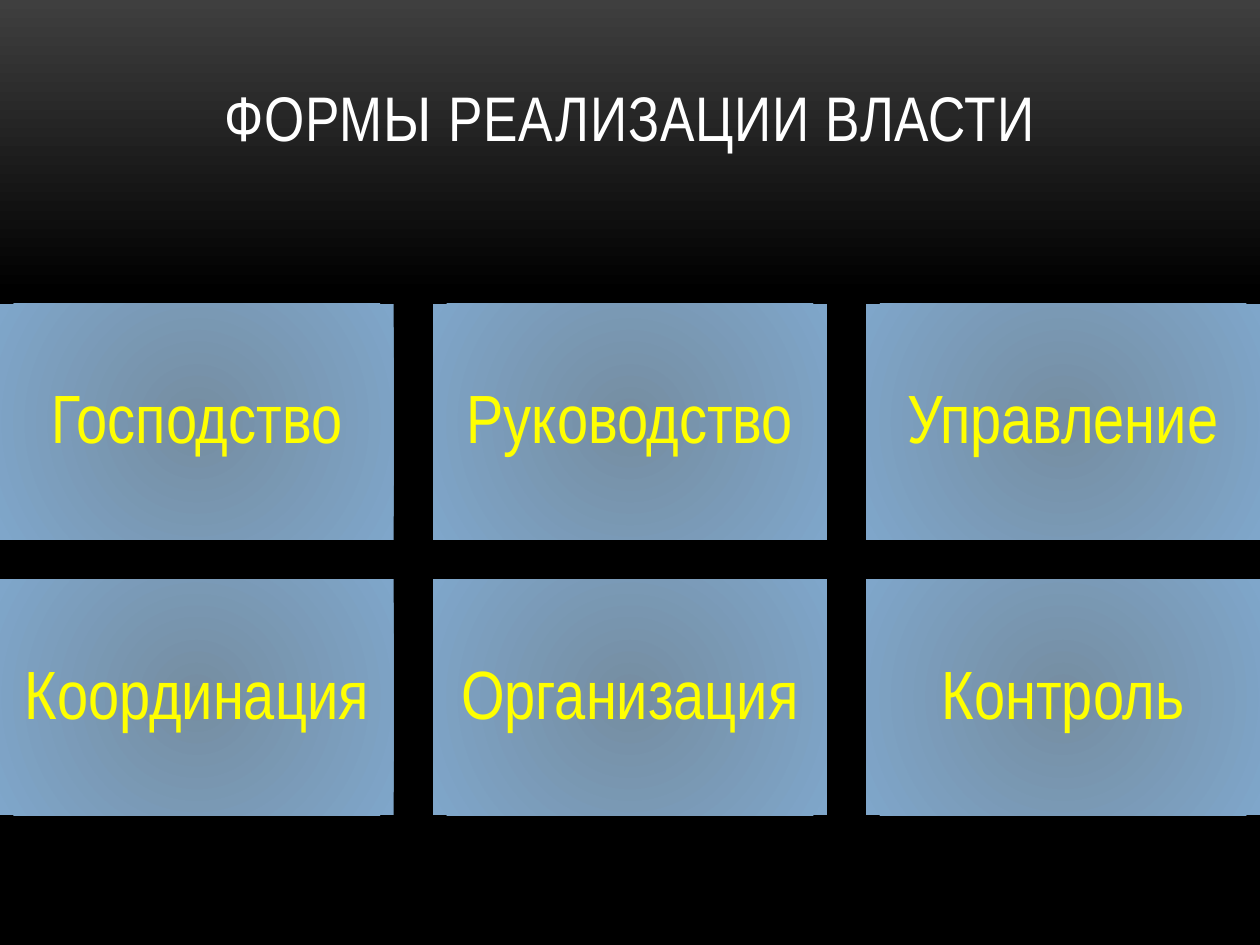
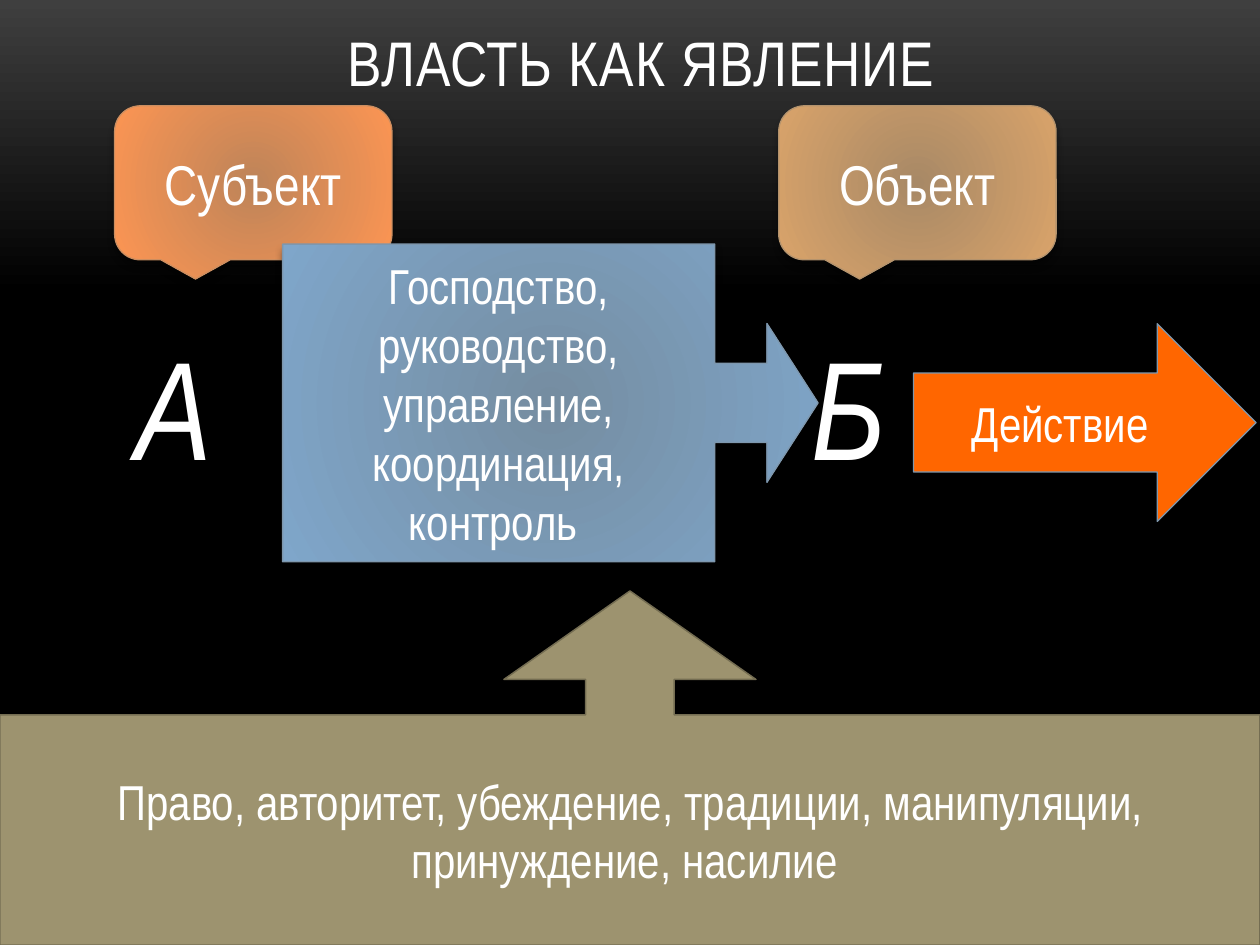
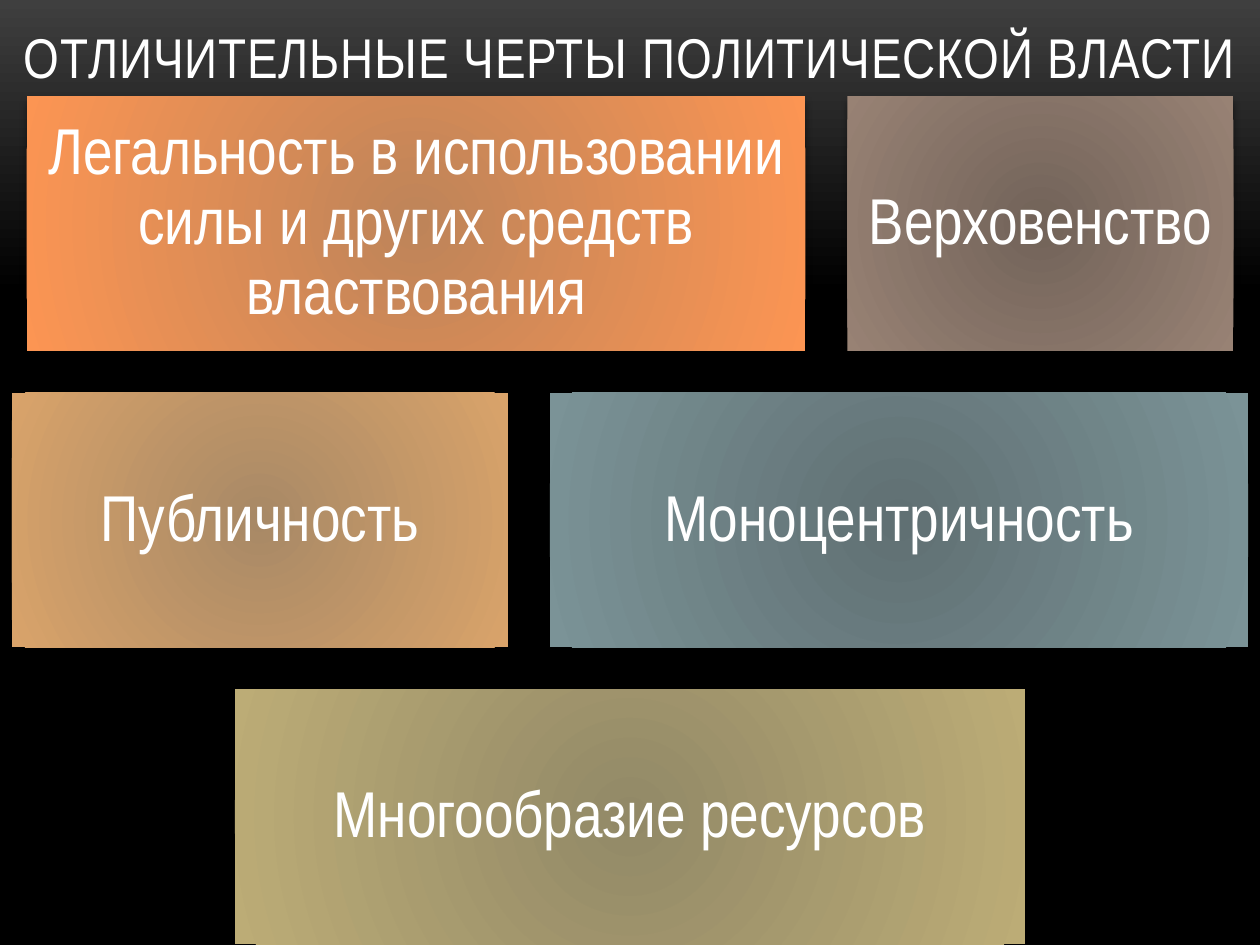
from dataclasses import dataclass

from lxml import etree
from pptx import Presentation
from pptx import util as u
from pptx.dml.color import RGBColor
from pptx.enum import shapes, text
from pptx.oxml.ns import qn

Pt = u.Pt
Kind = shapes.MSO_SHAPE
Anchor = text.MSO_ANCHOR
Align = text.PP_ALIGN


@dataclass(frozen=True)
class Theme:
    font: str = "Arial Narrow"
    # Colours
    white: str = "FFFFFF"
    yellow: str = "FFFF00"
    olive: str = "9D936F"
    olive_line: str = "746D52"
    vivid_orange: str = "FF6600"
    blue_line: str = "7E97AD"
    orange_line: str = "CC8E60"
    sand_line: str = "B4936D"
    # Gradients: centre and edge
    blue: tuple = ("758DA1", "7FA6CA")
    orange: tuple = ("BE8459", "FC9553")
    sand: tuple = ("A88966", "D9A36A")
    brown: tuple = ("726359", "988274")
    teal: tuple = ("607073", "7B9397")
    khaki: tuple = ("928967", "BCAC76")
    background: tuple = ((0, "3F3F3F"), (31, "000000"), (100, "000000"))
    # Type sizes
    title: int = 36
    long_title: int = 32
    form: int = 39
    feature: int = 37
    callout: int = 32
    body: int = 28
    letter: int = 80


def add_element(parent, tag, **attributes):
    element = etree.SubElement(parent, qn(tag))
    for name, value in attributes.items():
        element.set(name, str(value))
    return element


def set_gradient(fill, owner, stops, radial):
    """Give a fill its stops, spread from the centre or from the top down."""
    fill.gradient()
    gradient = owner.find(".//" + qn("a:gradFill"))
    for child in list(gradient):
        gradient.remove(child)
    stop_list = add_element(gradient, "a:gsLst")
    for position, color in stops:
        stop = add_element(stop_list, "a:gs", pos=position * 1000)
        add_element(stop, "a:srgbClr", val=color)
    if radial:
        spread = add_element(gradient, "a:path")
        spread.set("path", "circle")
        add_element(spread, "a:fillToRect", l=100000, t=100000, r=100000, b=100000)
    else:
        add_element(gradient, "a:lin", ang=5400000, scaled=0)


class Deck:
    def __init__(self, theme):
        self.theme = theme
        self.presentation = Presentation()
        self.presentation.slide_width = Pt(720)
        self.presentation.slide_height = Pt(540)
        master = self.presentation.slide_master
        set_gradient(master.background.fill, master._element, theme.background, radial=False)
        self.slide = None

    def new_slide(self):
        self.slide = self.presentation.slides.add_slide(self.presentation.slide_layouts[6])

    def set_text(self, shape, lines, size, color=None, anchor=Anchor.MIDDLE,
                 align=Align.CENTER, inset=None, spacing=None, italic=None, tracking=None):
        frame = shape.text_frame
        frame.word_wrap = True
        frame.vertical_anchor = anchor
        if inset is not None:
            frame.margin_left = frame.margin_right = Pt(inset)
            frame.margin_top = frame.margin_bottom = Pt(inset)
        frame.text = lines
        for paragraph in frame.paragraphs:
            paragraph.alignment = align
            paragraph.line_spacing = spacing
            font = paragraph.font
            font.name, font.size, font.italic = self.theme.font, Pt(size), italic
            font.color.rgb = RGBColor.from_string(color or self.theme.white)
            if tracking:
                paragraph._p.pPr.find(qn("a:defRPr")).set("spc", str(tracking))

    def text_box(self, box, lines, size, **style):
        shape = self.slide.shapes.add_textbox(*map(Pt, box))
        self.set_text(shape, lines, size, **style)

    def title(self, box, words, size=None, anchor=Anchor.BOTTOM):
        self.text_box(box, words, size or self.theme.title, anchor=anchor, tracking=50)

    def letter(self, left, character):
        self.text_box((left, 179.5, 100, 104.5), character, self.theme.letter,
                      anchor=Anchor.TOP, align=Align.LEFT, italic=True)

    def shape(self, kind, box, fill, lines, size, line=None, line_width=0.75,
              adjustments=(), shadow=True, **style):
        shape = self.slide.shapes.add_shape(kind, *map(Pt, box))
        for index, value in enumerate(adjustments):
            shape.adjustments[index] = value
        if isinstance(fill, tuple):
            set_gradient(shape.fill, shape._element.spPr, zip((0, 100), fill), radial=True)
        else:
            shape.fill.solid()
            shape.fill.fore_color.rgb = RGBColor.from_string(fill)
        if line:
            shape.line.color.rgb = RGBColor.from_string(line)
            shape.line.width = Pt(line_width)
        else:
            shape.line.fill.background()
        shape.shadow.inherit = False
        if shadow:
            self.drop_shadow(shape)
        self.set_text(shape, lines, size, **style)

    def drop_shadow(self, shape):
        effects = shape._element.spPr.find(qn("a:effectLst"))
        outer = add_element(effects, "a:outerShdw", blurRad=Pt(4), dist=Pt(3.4),
                            dir=5400000, rotWithShape=0)
        color = add_element(outer, "a:srgbClr", val="000000")
        add_element(color, "a:alpha", val=40000)

    def tile_rows(self, rows, top, height, gap, size, **style):
        """Stack rows of (words, width, fill) tiles, each row centred on the slide."""
        for row in rows:
            left = (720 - sum(width for _, width, _ in row) - gap * (len(row) - 1)) / 2
            for words, width, fill in row:
                self.shape(Kind.RECTANGLE, (left, top, width, height), fill, words, size,
                           spacing=0.9, **style)
                left += width + gap
            top += height + gap


def forms_slide(deck):
    theme = deck.theme
    deck.new_slide()
    deck.title((48, 21.6, 624, 90), "ФОРМЫ РЕАЛИЗАЦИИ ВЛАСТИ", anchor=Anchor.MIDDLE)
    forms = (("Господство", "Руководство", "Управление"),
             ("Координация", "Организация", "Контроль"))
    rows = [[(form, 225, theme.blue) for form in row] for row in forms]
    deck.tile_rows(rows, top=173.5, height=135, gap=22.5, size=theme.form,
                   color=theme.yellow, inset=11.5)


def phenomenon_slide(deck):
    theme = deck.theme
    deck.new_slide()
    deck.title((42.5, -8.6, 648, 69), "ВЛАСТЬ КАК ЯВЛЕНИЕ")
    deck.letter(70.5, "А")
    deck.letter(456.5, "Б")

    # Means of power
    deck.shape(Kind.UP_ARROW_CALLOUT, (0, 337.7, 720, 202.3), theme.olive,
               "Право, авторитет, убеждение, традиции, манипуляции, принуждение, насилие ",
               theme.body, line=theme.olive_line, line_width=0.85,
               adjustments=(0.25, 0.356, 0.25, 0.65), shadow=False)

    # The two sides
    for left, words, fill, line in ((65.5, "Субъект", theme.orange, theme.orange_line),
                                    (445, "Объект", theme.sand, theme.sand_line)):
        deck.shape(Kind.ROUNDED_RECTANGULAR_CALLOUT, (left, 60.5, 158.5, 88), fill, words,
                   theme.callout, line=line)

    # Action and influence
    deck.shape(Kind.RIGHT_ARROW, (522, 185, 195.8, 113), theme.vivid_orange, "Действие",
               theme.body, line=theme.blue_line)
    deck.shape(Kind.RIGHT_ARROW_CALLOUT, (161.5, 139.5, 306, 181.5), theme.blue,
               "Господство, руководство, управление, координация,\nконтроль ", theme.body,
               line=theme.blue_line, adjustments=(0.25, 0.25, 0.161, 0.807))


def features_slide(deck):
    theme = deck.theme
    deck.new_slide()
    deck.title((0, 0, 720, 54.7), "ОТЛИЧИТЕЛЬНЫЕ ЧЕРТЫ ПОЛИТИЧЕСКОЙ ВЛАСТИ", theme.long_title)
    rows = (
        (("Легальность в использовании силы и других средств властвования", 445, theme.orange),
         ("Верховенство", 220.5, theme.brown)),
        (("Публичность", 283.5, theme.sand), ("Моноцентричность", 399, theme.teal)),
        (("Многообразие ресурсов", 451.5, theme.khaki),),
    )
    deck.tile_rows(rows, top=55, height=145.5, gap=24, size=theme.feature, inset=10.8)


def main():
    deck = Deck(Theme())
    forms_slide(deck)
    phenomenon_slide(deck)
    features_slide(deck)
    deck.presentation.save("out.pptx")


if __name__ == "__main__":
    main()
